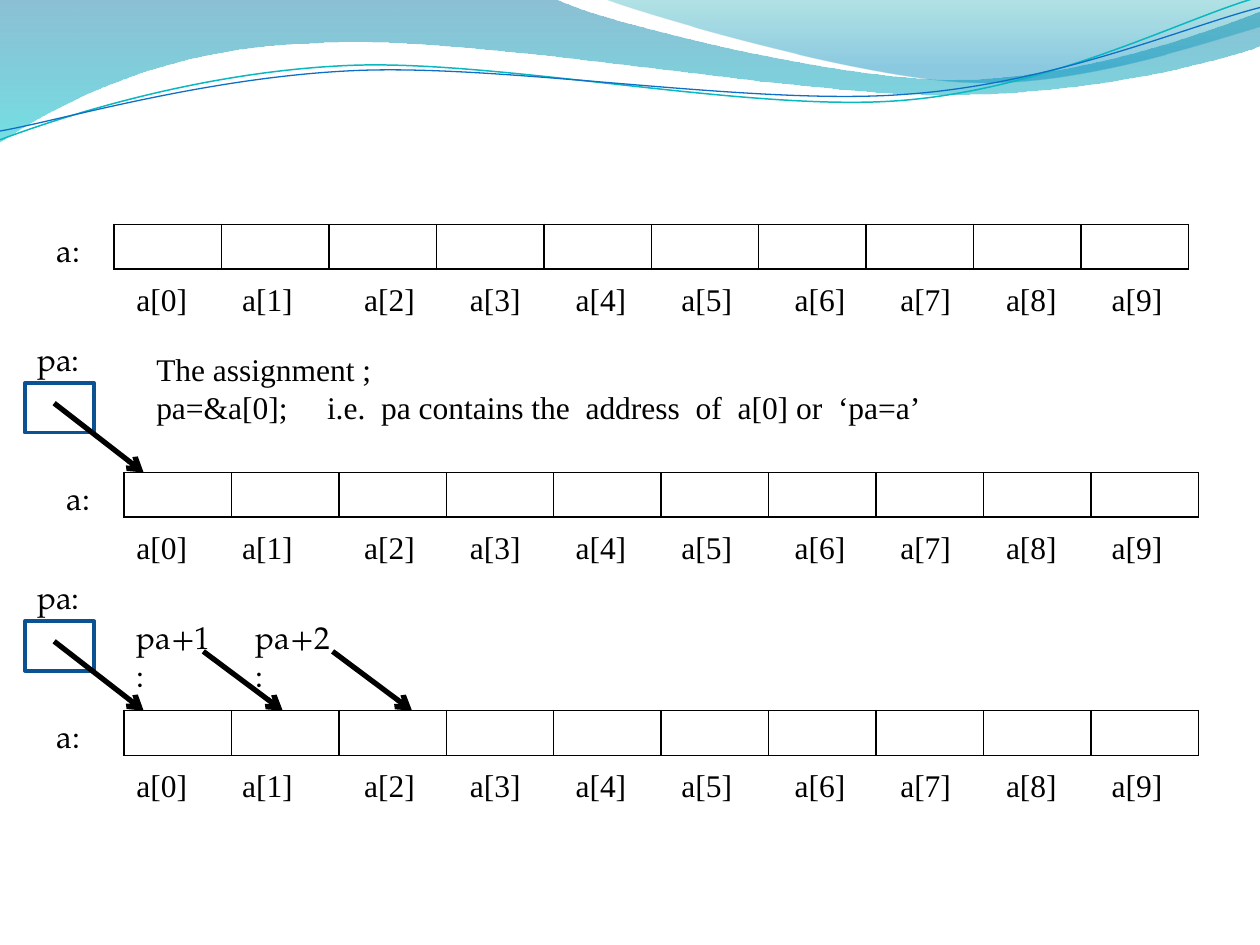
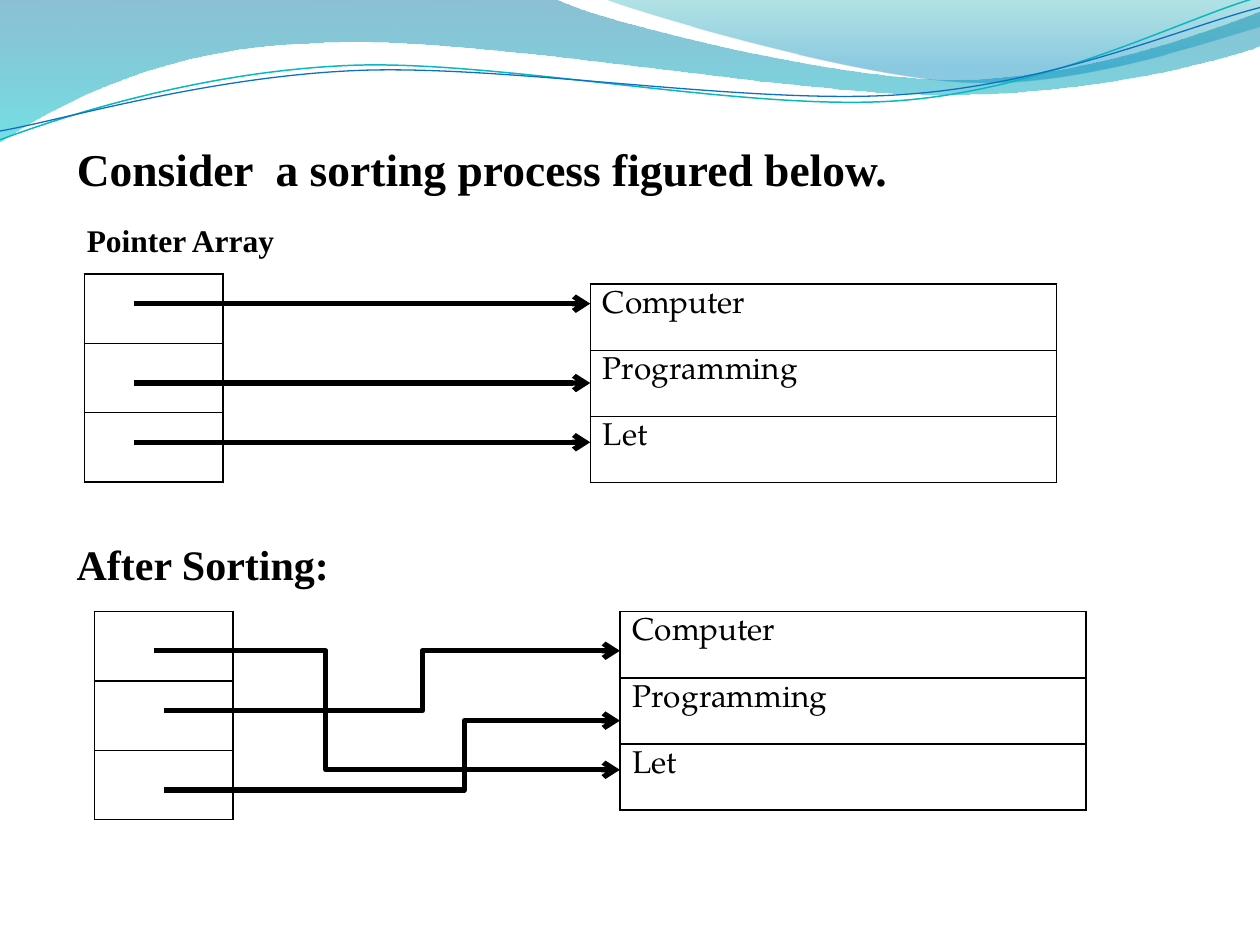
from pptx import Presentation
from pptx.dml.color import RGBColor
from pptx.enum.shapes import MSO_CONNECTOR, MSO_SHAPE
from pptx.oxml.ns import qn
from pptx.util import Inches, Pt
from lxml.etree import SubElement

COLORS = {
    "ink": "000000",
    "pointer": "0B5292",
    "deep": "0074A1",
    "aqua": "00C6CF",
    "teal": "00A1A9",
    "sky": "008BBF",
    "upper": "0AB8BF",
    "lower": "0F6FC6",
}
SERIF = "Times New Roman"
BOOK = "TeX Gyre Pagella"

prs = Presentation()
prs.slide_width = Inches(10)
prs.slide_height = Inches(7.5)
UNIT = prs.slide_width / 100
array_slide = prs.slides.add_slide(prs.slide_layouts[6])
sorting_slide = prs.slides.add_slide(prs.slide_layouts[1])


def add_text(slide, left, top, width, height, lines, font, size=18, bold=False, tabs=()):
    box = slide.shapes.add_textbox(*(int(n * UNIT) for n in (left, top, width, height)))
    frame = box.text_frame
    frame.word_wrap = True
    for index, line in enumerate(lines):
        paragraph = frame.paragraphs[0] if index == 0 else frame.add_paragraph()
        run = paragraph.add_run()
        run.text = line
        run.font.name = font
        run.font.size = Pt(size)
        run.font.bold = bold
        run.font.color.rgb = RGBColor.from_string(COLORS["ink"])
        if tabs:
            stops = SubElement(paragraph._p.get_or_add_pPr(), qn("a:tabLst"))
            for stop in tabs:
                SubElement(stops, qn("a:tab"), pos=str(int(stop * UNIT)), algn="l")


def add_arrow(slide, x1, y1, x2, y2, bend=None):
    route = MSO_CONNECTOR.STRAIGHT if bend is None else MSO_CONNECTOR.ELBOW
    arrow = slide.shapes.add_connector(route, *(int(n * UNIT) for n in (x1, y1, x2, y2)))
    arrow.line.width = Pt(3)
    arrow.line.color.rgb = RGBColor.from_string(COLORS["ink"])
    SubElement(arrow.line._get_or_add_ln(), qn("a:tailEnd"), type="arrow")
    SubElement(arrow._element.spPr, qn("a:effectLst"))
    if bend is not None:
        guides = arrow._element.spPr.find(qn("a:prstGeom")).find(qn("a:avLst"))
        SubElement(guides, qn("a:gd"), name="adj1", fmla=f"val {round(bend * 100000)}")


waves = [
    ([(0, 0), (44, -0.1), (47.6, 1.7, 66.4, 6.3, 75.8, 6.3), (85.3, 6.3, 95.8, 2.6, 100, 0.9),
      (100.1, 3.6), (98.3, 4.4, 87, 7.6, 74.6, 7.5), (62.2, 7.5, 38.2, 2.8, 25.7, 3.4),
      (12.9, 3.6, 4.6, 8.3, -0.1, 11.3)],
     [(0, "deep", 45), (1, "aqua", 55)], None),
    ([(47.9, -0.1), (50.9, 1.1, 68.2, 6.2, 76.9, 6.5), (85.6, 6.9, 96.1, 3.2, 100, 2.1), (100, 0)],
     [(0, "teal", 30), (0.8, "sky", 45)], None),
    ([(0, 11.1), (4.8, 9.3, 15.8, 5.7, 27.7, 5.2), (39.5, 4.7, 59.3, 8.9, 71.3, 8),
      (83.3, 7.1, 93.8, 1.5, 99.8, -0.2)], None, ("upper", 0.85)),
    ([(0, 10.4), (4.7, 9.6, 16.4, 6.1, 28.3, 5.6), (40.3, 5.1, 59.7, 8.4, 71.7, 7.5),
      (83.6, 6.7, 94.1, 2.1, 100, 0.6)], None, ("lower", 0.75)),
]
for layer, (segments, gradient, stroke) in enumerate(waves):
    anchors = [(x * UNIT, y * UNIT) for *_, x, y in segments]
    builder = array_slide.shapes.build_freeform(*anchors[0])
    builder.add_line_segments(anchors[1:], close=gradient is not None)
    wave = builder.convert_to_shape()
    wave.shadow.inherit = False
    for straight, segment in zip(list(wave._element.iter(qn("a:lnTo"))), segments[1:]):
        if len(segment) == 6:
            outline = straight.getparent()
            curve = SubElement(outline, qn("a:cubicBezTo"))
            for x, y in zip(segment[::2], segment[1::2]):
                SubElement(curve, qn("a:pt"), x=str(round(x * UNIT - wave.left)),
                           y=str(round(y * UNIT - wave.top)))
            outline.replace(straight, curve)
    if gradient:
        wave.line.fill.background()
        wave.fill.gradient()
        wave.fill.gradient_angle = 270
        for stop, (position, color, opacity) in zip(wave.fill.gradient_stops, gradient):
            stop.position = position
            stop.color.rgb = RGBColor.from_string(COLORS[color])
        for tint, (position, color, opacity) in zip(wave._element.iter(qn("a:srgbClr")), gradient):
            SubElement(tint, qn("a:alpha"), val=str(opacity * 1000))
    else:
        wave.fill.background()
        wave.line.color.rgb = RGBColor.from_string(COLORS[stroke[0]])
        wave.line.width = Pt(stroke[1])
    wave._element.nvSpPr.cNvPr.set("id", str(100 + layer))
    prs.slide_master.shapes._spTree.insert(2 + layer, wave._element)

words = [["Computer"], ["Programming"], ["Let"]]
pointers = [[""]] * 3
elements = [[""] * 10]
grids = [
    (array_slide, 9.05, 17.8, 8.53, 3.55, elements),
    (array_slide, 9.84, 37.5, 8.53, 3.55, elements),
    (array_slide, 9.84, 56.4, 8.53, 3.55, elements),
    (sorting_slide, 6.7, 21.75, 11, 5.5, pointers),
    (sorting_slide, 46.85, 22.55, 37, 5.25, words),
    (sorting_slide, 7.48, 48.55, 11, 5.5, pointers),
    (sorting_slide, 49.2, 48.55, 37, 5.25, words),
]
for slide, left, top, column, row, contents in grids:
    size = (left, top, column * len(contents[0]), row * len(contents))
    grid = slide.shapes.add_table(
        len(contents), len(contents[0]), *(int(n * UNIT) for n in size)).table
    grid.first_row = False
    grid.horz_banding = False
    for r, texts in enumerate(contents):
        for c, text in enumerate(texts):
            cell = grid.cell(r, c)
            for side in ("a:lnL", "a:lnR", "a:lnT", "a:lnB"):
                border = SubElement(cell._tc.get_or_add_tcPr(), qn(side), w=str(Pt(1)))
                SubElement(SubElement(border, qn("a:solidFill")), qn("a:srgbClr"), val=COLORS["ink"])
            cell.fill.background()
            if text:
                run = cell.text_frame.paragraphs[0].add_run()
                run.text = text
                run.font.name = BOOK
                run.font.size = Pt(18)
                run.font.color.rgb = RGBColor.from_string(COLORS["ink"])
            else:
                cell.margin_top = cell.margin_bottom = 0

index_labels = "\t".join(f"a[{i}]" for i in range(10))
index_tabs = [8.39 * i + 1.3 * (i >= 2) + 0.6 * (i >= 6) for i in range(1, 10)]
for left, top in [(3.5, 17.85), (4.3, 37.5), (3.5, 56.4)]:
    add_text(array_slide, left, top, 6.7, 4, ["a:"], BOOK)
    add_text(array_slide, 9.84, top + 3.92, 85.8, 4, [index_labels], SERIF, tabs=index_tabs)

for array_top in (37.5, 56.4):
    pointer = array_slide.shapes.add_shape(
        MSO_SHAPE.RECTANGLE, *(int(n * UNIT) for n in (1.97, array_top - 7.1, 5.5, 3.94)))
    pointer.shadow.inherit = False
    pointer.fill.background()
    pointer.line.color.rgb = RGBColor.from_string(COLORS["pointer"])
    pointer.line.width = Pt(2)
    add_text(array_slide, 1.97, array_top - 11, 6.7, 4, ["pa:"], BOOK)
    add_arrow(array_slide, 4.3, array_top - 5.5, 11.4, array_top)

for label, left, tail in [("pa+1:", 9.84, 16.14), ("pa+2:", 19.3, 26.4)]:
    add_text(array_slide, left, 48.55, 7.9, 4, [label], BOOK)
    add_arrow(array_slide, tail, 51.7, tail + 6.3, 56.4)

add_text(array_slide, 11.42, 27.3, 82.7, 7.1,
         ["The assignment ;",
          "pa=&a[0];\ti.e.  pa contains the  address  of  a[0] or  ‘pa=a’"],
         SERIF, tabs=[13.55])

title = sorting_slide.shapes.title
title._element.getparent().remove(title._element)
body = sorting_slide.placeholders[1]
body.left, body.top, body.width, body.height = (int(n * UNIT) for n in (5.1, 10.7, 90, 59.1))
heading = body.text_frame.paragraphs[0]
run = heading.add_run()
run.text = "Consider  a sorting process figured below."
run.font.name = SERIF
run.font.size = Pt(26)
run.font.bold = True
run.font.color.rgb = RGBColor.from_string(COLORS["ink"])
hanging = heading._p.get_or_add_pPr()
hanging.set("marL", str(int(3 * UNIT)))
hanging.set("indent", str(int(-3 * UNIT)))
SubElement(hanging, qn("a:buNone"))

for y in (24.1, 30.4, 35.1):
    add_arrow(sorting_slide, 10.6, y, 46.85, y)
for x, y, target, bend in [(12.2, 51.65, 61.1, 0.369), (13, 56.4, 51.65, 0.567),
                           (13, 62.7, 57.2, 0.659)]:
    add_arrow(sorting_slide, x, y, 49.2, target, bend)

add_text(sorting_slide, 5.1, 42.25, 40.2, 5, ["After Sorting:"], SERIF, size=24, bold=True)
add_text(sorting_slide, 5.9, 17.05, 25.2, 4, ["Pointer Array"], SERIF, bold=True)

prs.save("out.pptx")
